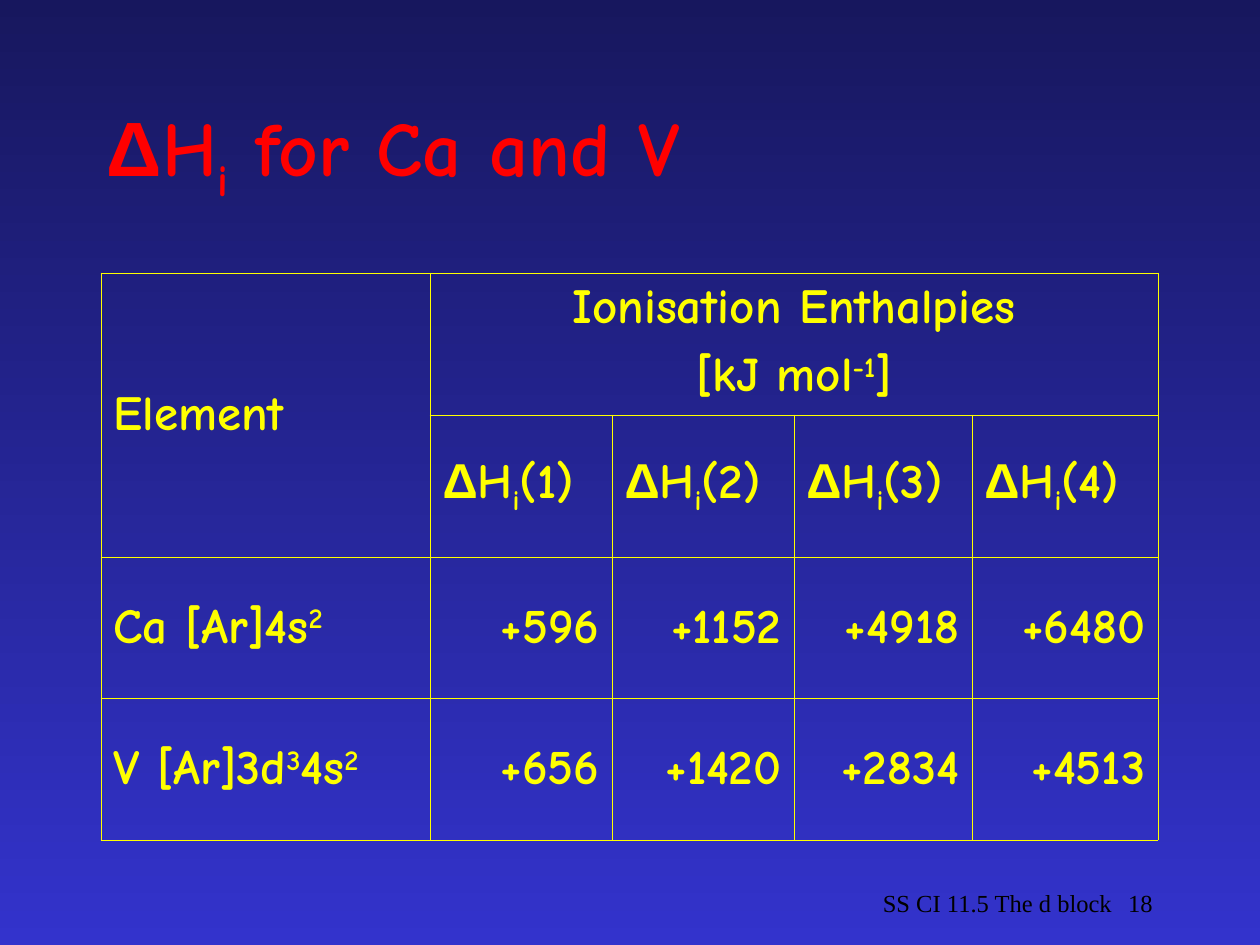
from lxml.etree import SubElement
from pptx import Presentation
from pptx.dml.color import RGBColor
from pptx.enum.text import MSO_ANCHOR as ANCHOR, MSO_AUTO_SIZE as AUTO, PP_ALIGN as ALIGN
from pptx.oxml.ns import qn
from pptx.util import Pt

EMU_PER_PX = 914400 / 126
NAVY = RGBColor(0x17, 0x17, 0x5E)
BLUE = RGBColor(0x33, 0x33, 0xCC)
RED = RGBColor(0xFF, 0, 0)
YELLOW = RGBColor(0xFF, 0xFF, 0)
BLACK = RGBColor(0, 0, 0)
HAND, SERIF, GREEK = "Comic Neue", "Times New Roman", "Arial"
SUB, SUPER = -25000, 30000

COLUMNS = [329, 182, 182, 178, 186]
ROWS = [142, 142, 141, 142]
DELTA_H = ["Δ", "H", ("i", SUB)]
ELEMENTS = [
    (["Ca [Ar]4s", ("2", SUPER)], ["+596", "+1152", "+4918", "+6480"]),
    (["V [Ar]3d", ("3", SUPER), "4s", ("2", SUPER)], ["+656", "+1420", "+2834", "+4513"]),
]


def px(n):
    return round(n * EMU_PER_PX)


def place(sp, left, top, width, height):
    sp.left, sp.top, sp.width, sp.height = map(px, (left, top, width, height))


def write(p, runs, size, color, name=HAND, bold=True, align=ALIGN.LEFT):
    p.alignment = align
    font = p.font
    font.name, font.size, font.bold = name, Pt(size), bold
    font.color.rgb = color
    for run in runs:
        text, baseline = (run, 0) if isinstance(run, str) else run
        r = p.add_run()
        r.text = text
        if text == "Δ":
            r.font.name = GREEK
        if baseline:
            r._r.get_or_add_rPr().set("baseline", str(baseline))


def set_background(s):
    fill = s.background.fill
    fill.gradient()
    fill.gradient_angle = 270
    for stop, color, position in zip(fill.gradient_stops, (NAVY, BLUE), (0, 1)):
        stop.color.rgb = color
        stop.position = position


def set_title(s):
    title = s.shapes.title
    place(title, 94, 63, 1071, 179)
    tf = title.text_frame
    tf.auto_size = AUTO.NONE
    tf.vertical_anchor = ANCHOR.MIDDLE
    write(tf.paragraphs[0], DELTA_H + [" for Ca and V"], 44, RED)


def add_borders(cell):
    tc_pr = cell._tc.get_or_add_tcPr()
    for side in ("a:lnL", "a:lnR", "a:lnT", "a:lnB"):
        ln = SubElement(tc_pr, qn(side), w=str(Pt(0.45)))
        fill = SubElement(ln, qn("a:solidFill"))
        SubElement(fill, qn("a:srgbClr"), val=str(YELLOW))


def fill_cell(cell, lines, align=ALIGN.LEFT, anchor=ANCHOR.MIDDLE):
    cell.vertical_anchor = anchor
    tf = cell.text_frame
    for i, runs in enumerate(lines):
        p = tf.add_paragraph() if i else tf.paragraphs[0]
        p.space_before = Pt(7)
        write(p, runs, 28, YELLOW, align=align)


def add_enthalpy_table(s):
    frame = s.shapes.add_table(len(ROWS), len(COLUMNS), px(101), px(273),
                               px(sum(COLUMNS)), px(sum(ROWS)))
    table = frame.table
    table.first_row = table.horz_banding = False
    for column, width in zip(table.columns, COLUMNS):
        column.width = px(width)
    for row, height in zip(table.rows, ROWS):
        row.height = px(height)
    for cell in table.iter_cells():
        add_borders(cell)
        cell.fill.background()

    table.cell(0, 0).merge(table.cell(1, 0))
    table.cell(0, 1).merge(table.cell(0, 4))
    fill_cell(table.cell(0, 0), [["Element"]])
    fill_cell(table.cell(0, 1),
              [["Ionisation Enthalpies"], ["[kJ mol", ("-1", SUPER), "]"]],
              ALIGN.CENTER, ANCHOR.TOP)
    for col in range(1, len(COLUMNS)):
        fill_cell(table.cell(1, col), [DELTA_H + [f"({col})"]])
    for row, (element, values) in enumerate(ELEMENTS, 2):
        fill_cell(table.cell(row, 0), [element])
        for col, value in enumerate(values, 1):
            fill_cell(table.cell(row, col), [[value]], ALIGN.RIGHT)


def add_footer(s, text, left, width, align):
    box = s.shapes.add_textbox(px(left), px(861), px(width), px(63))
    tf = box.text_frame
    tf.word_wrap = True
    tf.vertical_anchor = ANCHOR.BOTTOM
    write(tf.paragraphs[0], [text], 14, BLACK, SERIF, False, align)


def main():
    prs = Presentation()
    prs.slide_width, prs.slide_height = px(1260), px(945)
    s = prs.slides.add_slide(prs.slide_layouts[5])
    set_background(s)
    set_title(s)
    add_enthalpy_table(s)
    add_footer(s, "SS CI 11.5 The d block", 798, 399, ALIGN.CENTER)
    add_footer(s, "18", 903, 262, ALIGN.RIGHT)
    prs.save("out.pptx")


if __name__ == "__main__":
    main()
